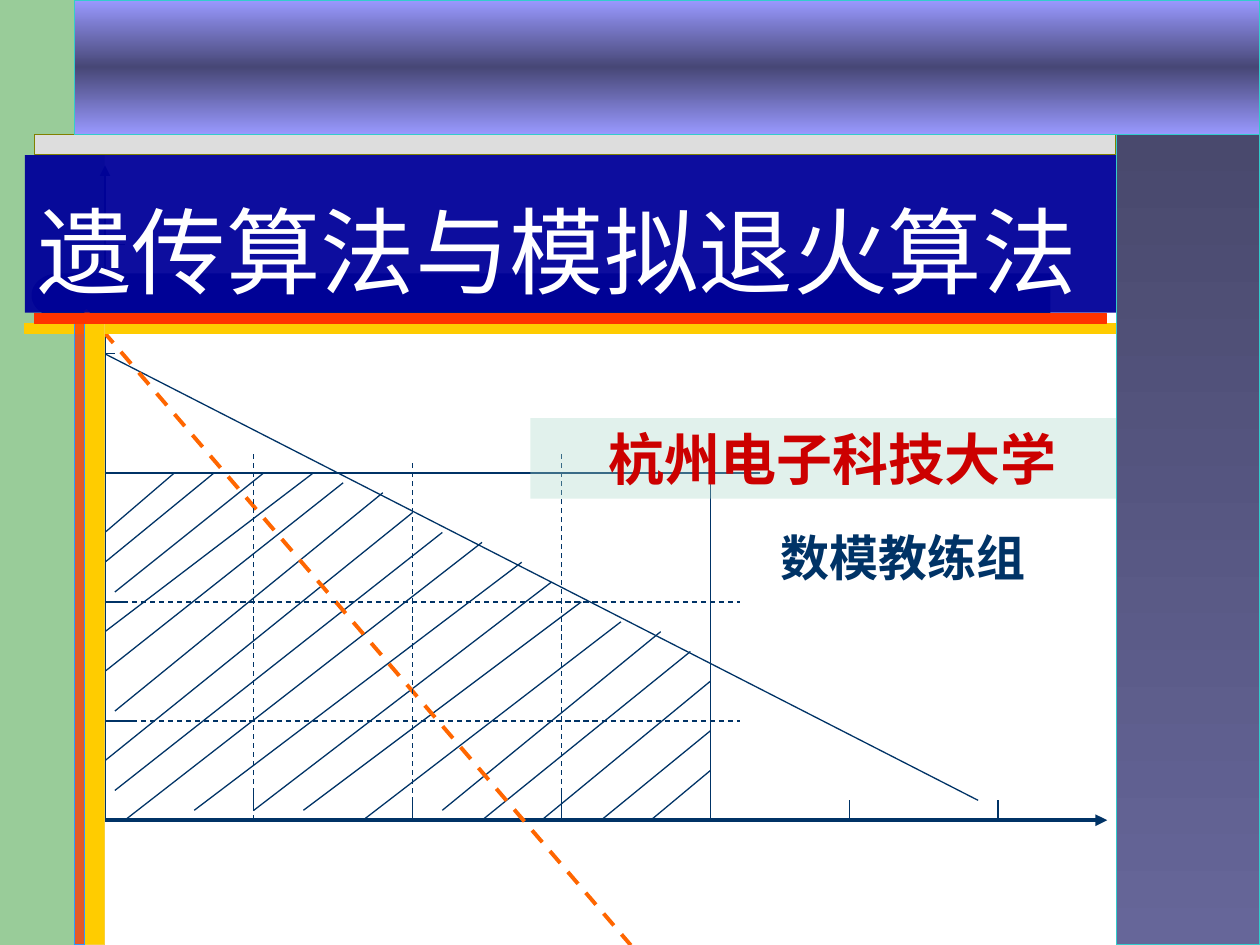
from dataclasses import dataclass
from typing import Any, Optional

from lxml.etree import SubElement
from pptx import Presentation
from pptx.dml.color import RGBColor
from pptx.enum.dml import MSO_LINE
from pptx.enum.shapes import MSO_CONNECTOR, MSO_SHAPE
from pptx.enum.text import MSO_ANCHOR, PP_ALIGN
from pptx.oxml.ns import qn
from pptx.util import Pt

NAVY = RGBColor(0x00, 0x33, 0x66)
BLUE = RGBColor(0x00, 0x00, 0x99)
WHITE = RGBColor(0xFF, 0xFF, 0xFF)
CRIMSON = RGBColor(0xCC, 0x00, 0x00)
RED = RGBColor(0xFF, 0x33, 0x00)
ORANGE = RGBColor(0xFF, 0x66, 0x00)
YELLOW = RGBColor(0xFF, 0xCC, 0x00)
GOLD = RGBColor(0xF8, 0xCF, 0x3A)
GREEN = RGBColor(0x99, 0xCC, 0x99)
MINT = RGBColor(0xA8, 0xD8, 0xC9)
GREY = RGBColor(0xDD, 0xDD, 0xDD)
OLIVE = RGBColor(0x80, 0x80, 0x00)
SKY = RGBColor(0x33, 0x99, 0xFF)
TURQUOISE = RGBColor(0x33, 0xCC, 0xCC)
LILAC = RGBColor(0x99, 0x99, 0xFF)
DUSK = RGBColor(0x47, 0x47, 0x76)
SLATE = RGBColor(0x49, 0x49, 0x6D)
HEATHER = RGBColor(0x66, 0x66, 0x99)

FONT = "Arial"
ORIGIN_X, ORIGIN_Y, UNIT = 60, 468.7, 5.67
RIGHT_EDGE = 61


@dataclass
class Label:
    """Wording and type style of a text."""
    text: str
    size: float
    color: RGBColor
    bold: bool = False
    align: Any = PP_ALIGN.LEFT
    anchor: Any = MSO_ANCHOR.TOP


@dataclass
class Panel:
    """A filled shape, measured in points."""
    left: float
    top: float
    width: float
    height: float
    colors: tuple = ()
    outline: Optional[RGBColor] = None
    opacity: int = 100
    kind: Any = MSO_SHAPE.RECTANGLE
    turn: float = 0
    label: Optional[Label] = None


@dataclass
class Stroke:
    """A straight line between two points of the plot grid."""
    x1: float
    y1: float
    x2: float
    y2: float
    color: RGBColor = NAVY
    width: float = 0.75
    dashed: bool = False
    arrow: bool = False


TITLE = Label("遗传算法与模拟退火算法", 54, WHITE, anchor=MSO_ANCHOR.BOTTOM)
SCHOOL = Label("杭州电子科技大学", 32, CRIMSON, True, PP_ALIGN.CENTER, MSO_ANCHOR.MIDDLE)
TEAM = Label("数模教练组", 28, NAVY, True)

BACK_PANELS = [
    Panel(0, 0, 59.8, 540, (GREEN,)),
    Panel(48.2, 156.2, 552, 25.2, (NAVY,)),
    Panel(18, 156.2, 31, 25.2, (NAVY,), kind=MSO_SHAPE.FLOWCHART_DELAY, turn=180),
]
FRONT_PANELS = [
    Panel(14.2, 88.6, 635, 90, (BLUE,), opacity=95, label=TITLE),
    Panel(14.2, 185, 623.5, 5.7, (YELLOW,), YELLOW),
    Panel(19.6, 77, 617.8, 11.5, (GREY,), OLIVE),
    Panel(48.2, 185, 11.5, 355, (YELLOW,), GOLD),
    Panel(42.5, 185, 5.7, 355, (RED,), SKY, 74),
    Panel(439.2, 298, 187.2, 41, label=TEAM),
    Panel(303.1, 239, 345.6, 46, (MINT,), opacity=34, label=SCHOOL),
    Panel(42.5, 0, 677.5, 77, (LILAC, DUSK, LILAC), TURQUOISE),
    Panel(638, 77, 82, 463, (SLATE, HEATHER), TURQUOISE),
    Panel(19.6, 179.3, 612.7, 5.7, (RED,), RED),
]

AXES = [
    Stroke(0, 0, 101, 0, width=2.25, arrow=True),
    Stroke(0, 0, 0, 66, width=1.5, arrow=True),
]
X_TICKS = [(15, 3, 1), (31, 2, 0), (46, 3, 0), (RIGHT_EDGE, 2, 0), (75, 2, 0), (90, 2, 0)]
Y_TICKS = [(10, 3), (22, 2), (35, 3), (47, 1), (58, 2)]
BOUNDS = [
    Stroke(RIGHT_EDGE, 1, RIGHT_EDGE, 39),
    Stroke(0, 35, 66, 35),
    Stroke(0, 47, 88, 2),
]
HATCHING = [
    (7, 35, 0, 29), (11, 35, 0, 26), (16, 35, 1, 23), (21, 35, 0, 19),
    (24, 34, 0, 15), (28, 33, 1, 11), (31, 31, 0, 6), (34, 29, 1, 3),
    (38, 28, 2, 0), (42, 26, 9, 1), (45, 24, 15, 1), (48, 22, 20, 1),
    (52, 20, 26, 0), (56, 19, 34, 1), (59, 17, 38, 0),
    (RIGHT_EDGE, 14, 44, 0), (RIGHT_EDGE, 9, 50, 0), (RIGHT_EDGE, 5, 55, 0),
]
OBJECTIVE = Stroke(-2, 51.4, 53, -12.6, ORANGE, 2.25, dashed=True)
GRID_ROWS = [22, 10]
GRID_COLUMNS = [(15, 37), (31, 36), (46, 37)]


def apply(target: Any, values: dict) -> None:
    """Set each named attribute on the target."""
    for name, value in values.items():
        setattr(target, name, value)


def write_label(shape: Any, label: Label) -> None:
    """Put a styled one-line label into a shape."""
    frame = shape.text_frame
    apply(frame, {"word_wrap": True, "vertical_anchor": label.anchor})
    para = frame.paragraphs[0]
    para.alignment = label.align
    span = para.add_run()
    span.text = label.text
    apply(span.font, {"name": FONT, "size": Pt(label.size), "bold": label.bold})
    span.font.color.rgb = label.color


def paint(shape: Any, panel: Panel) -> None:
    """Fill a shape with one colour or a vertical gradient."""
    properties = shape._element.spPr
    if len(panel.colors) == 1:
        shape.fill.solid()
        shape.fill.fore_color.rgb = panel.colors[0]
        if panel.opacity < 100:
            color = properties.find(qn("a:solidFill"))[0]
            SubElement(color, qn("a:alpha"), val=str(panel.opacity * 1000))
        return
    shape.fill.gradient()
    shape.fill.gradient_angle = 270
    stops = properties.find(f"{qn('a:gradFill')}/{qn('a:gsLst')}")
    stops.clear()
    step = 100000 // (len(panel.colors) - 1)
    for index, color in enumerate(panel.colors):
        stop = SubElement(stops, qn("a:gs"), pos=str(index * step))
        SubElement(stop, qn("a:srgbClr"), val=str(color))


def draw_panel(page: Any, panel: Panel) -> None:
    """Draw a filled shape, or a text box when it has no colours."""
    place = [Pt(value) for value in (panel.left, panel.top, panel.width, panel.height)]
    if panel.colors:
        shape = page.shapes.add_shape(panel.kind, *place)
        shape.shadow.inherit = False
        shape.rotation = panel.turn
        paint(shape, panel)
        if panel.outline is None:
            shape.line.fill.background()
        else:
            shape.line.color.rgb = panel.outline
            shape.line.width = Pt(0.75)
    else:
        shape = page.shapes.add_textbox(*place)
    if panel.label:
        write_label(shape, panel.label)


def draw_stroke(page: Any, stroke: Stroke) -> None:
    """Draw a line given in plot grid units."""
    ends = [
        Pt(ORIGIN_X + stroke.x1 * UNIT), Pt(ORIGIN_Y - stroke.y1 * UNIT),
        Pt(ORIGIN_X + stroke.x2 * UNIT), Pt(ORIGIN_Y - stroke.y2 * UNIT),
    ]
    connector = page.shapes.add_connector(MSO_CONNECTOR.STRAIGHT, *ends)
    line = connector.line
    line.color.rgb = stroke.color
    apply(line, {"width": Pt(stroke.width),
                 "dash_style": MSO_LINE.DASH if stroke.dashed else None})
    properties = connector._element.spPr
    if stroke.arrow:
        SubElement(properties.find(qn("a:ln")), qn("a:tailEnd"), type="triangle")
    SubElement(properties, qn("a:effectLst"))


def main() -> None:
    """Build the title slide and save it."""
    deck = Presentation()
    apply(deck, {"slide_width": Pt(720), "slide_height": Pt(540)})
    page = deck.slides.add_slide(deck.slide_layouts[6])
    strokes = [
        *AXES,
        *(Stroke(x, top, x, bottom) for x, top, bottom in X_TICKS),
        *(Stroke(0, y, length, y) for y, length in Y_TICKS),
        *BOUNDS,
        *(Stroke(*ends) for ends in HATCHING),
        OBJECTIVE,
        *(Stroke(0, y, 64, y, dashed=True) for y in GRID_ROWS),
        *(Stroke(x, 0, x, top, dashed=True) for x, top in GRID_COLUMNS),
    ]
    for panel in BACK_PANELS:
        draw_panel(page, panel)
    for stroke in strokes:
        draw_stroke(page, stroke)
    for panel in FRONT_PANELS:
        draw_panel(page, panel)
    deck.save("out.pptx")


if __name__ == "__main__":
    main()
